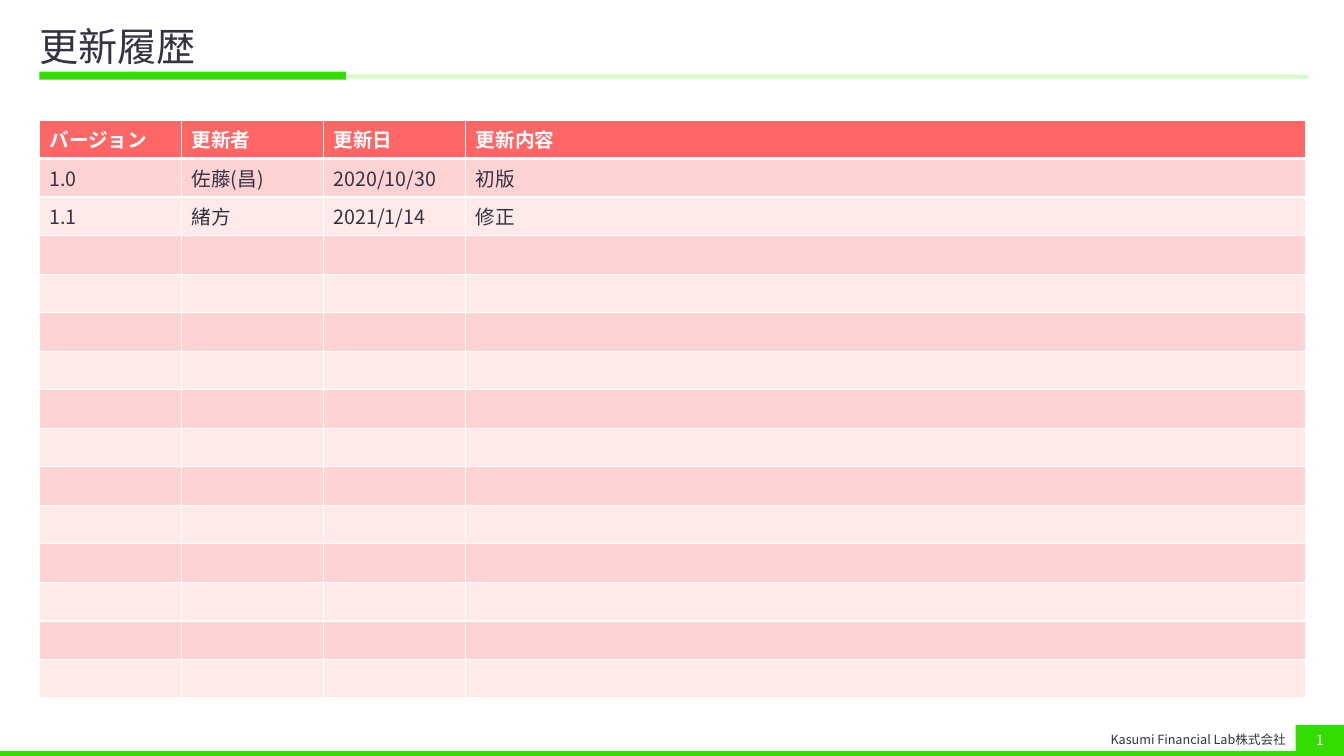
from lxml import etree
from pptx import Presentation
from pptx.dml.color import RGBColor
from pptx.enum.shapes import MSO_SHAPE
from pptx.enum.text import MSO_ANCHOR, PP_ALIGN
from pptx.oxml.ns import qn
from pptx.util import Inches, Pt

RECT = MSO_SHAPE.RECTANGLE
MIDDLE = MSO_ANCHOR.MIDDLE
LEFT, CENTER, RIGHT = PP_ALIGN.LEFT, PP_ALIGN.CENTER, PP_ALIGN.RIGHT

FONT = "Noto Sans CJK JP"
INK, WHITE, GREEN, PALE = "333344", "FFFFFF", "33DD00", "D3FFC5"
HEAD, BANDS = "FF6666", ("FFD3D3", "FFEAEA")

TITLE = "更新履歴"
OWNER = "Kasumi Financial Lab株式会社"
PAGE = "1"
ROWS = [
    ("バージョン", "更新者", "更新日", "更新内容"),
    ("1.0", "佐藤(昌)", "2020/10/30", "初版"),
    ("1.1", "緒方", "2021/1/14", "修正"),
]
COUNT = 15
COLS = (1.41, 1.41, 1.41, 8.33)

WIDE, HIGH = 13.33, 7.5
EDGE = 0.39
TOP, DEEP = 1.19, 5.74
BARS = [
    (EDGE, 0.71, 3.04, 0.08, GREEN),
    (EDGE + 3.04, 0.74, 9.55, 0.04, PALE),
    (0, HIGH - 0.05, WIDE, 0.05, GREEN),
]


def rgb(color):
    return RGBColor.from_string(color)


def write(frame, text, size, color, align=LEFT, bold=False):
    frame.text = text
    para = frame.paragraphs[0]
    para.alignment = align
    for run in para.runs:
        font = run.font
        font.size, font.bold, font.name = Pt(size), bold, FONT
        font.color.rgb = rgb(color)
        etree.SubElement(font._element, qn("a:ea"), typeface=FONT)
    if not text:
        # An empty cell keeps its row height through the end mark
        etree.SubElement(para._p, qn("a:endParaRPr"), sz=str(size * 100))
    return para


def bar(slide, left, top, width, height, color):
    shape = slide.shapes.add_shape(
        RECT, Inches(left), Inches(top), Inches(width), Inches(height))
    shape.shadow.inherit = False
    shape.fill.solid()
    shape.fill.fore_color.rgb = rgb(color)
    shape.line.fill.background()
    return shape


def border(cell, side, width):
    line = etree.SubElement(
        cell._tc.get_or_add_tcPr(), qn("a:ln" + side), w=str(Pt(width)))
    fill = etree.SubElement(line, qn("a:solidFill"))
    etree.SubElement(fill, qn("a:srgbClr"), val=WHITE)


def add_title(slide):
    title = slide.shapes.title
    title.left, title.top = Inches(EDGE), Inches(0.2)
    title.width, title.height = Inches(12.59), Inches(0.56)
    frame = title.text_frame
    frame.word_wrap = True
    frame.vertical_anchor = MIDDLE
    frame.margin_left, frame.margin_right = 0, Inches(0.16)
    frame.margin_top = frame.margin_bottom = Inches(0.05)
    write(frame, TITLE, 28, INK).line_spacing = 0.9


def add_log(slide):
    table = slide.shapes.add_table(
        COUNT, len(COLS), Inches(EDGE), Inches(TOP),
        Inches(sum(COLS)), Inches(DEEP)).table
    for col, width in zip(table.columns, COLS):
        col.width = Inches(width)
    blank = ("",) * len(COLS)
    for r, row in enumerate(table.rows):
        row.height = Inches(DEEP / COUNT)
        head = r == 0
        texts = ROWS[r] if r < len(ROWS) else blank
        for cell, text in zip(row.cells, texts):
            cell.vertical_anchor = MIDDLE
            write(cell.text_frame, text, 14, WHITE if head else INK, bold=head)
            for side in "LRTB":
                thick = (r, side) in ((0, "B"), (1, "T"))
                border(cell, side, 3 if thick else 1)
            cell.fill.solid()
            cell.fill.fore_color.rgb = rgb(HEAD if head else BANDS[(r - 1) % 2])


def add_footer(slide):
    box = slide.shapes.add_textbox(
        Inches(10.86), Inches(7.2), Inches(1.99), Inches(0.27))
    box.text_frame.word_wrap = True
    box.text_frame.vertical_anchor = MIDDLE
    write(box.text_frame, OWNER, 9, INK, RIGHT)
    tab = bar(slide, WIDE - 0.48, HIGH - 0.31, 0.48, 0.31, GREEN)
    tab.text_frame.vertical_anchor = MIDDLE
    write(tab.text_frame, PAGE, 10, WHITE, CENTER)


def main():
    deck = Presentation()
    deck.slide_width, deck.slide_height = Inches(WIDE), Inches(HIGH)
    slide = deck.slides.add_slide(deck.slide_layouts[5])
    for item in BARS:
        bar(slide, *item)
    add_title(slide)
    add_footer(slide)
    add_log(slide)
    deck.save("out.pptx")


if __name__ == "__main__":
    main()
